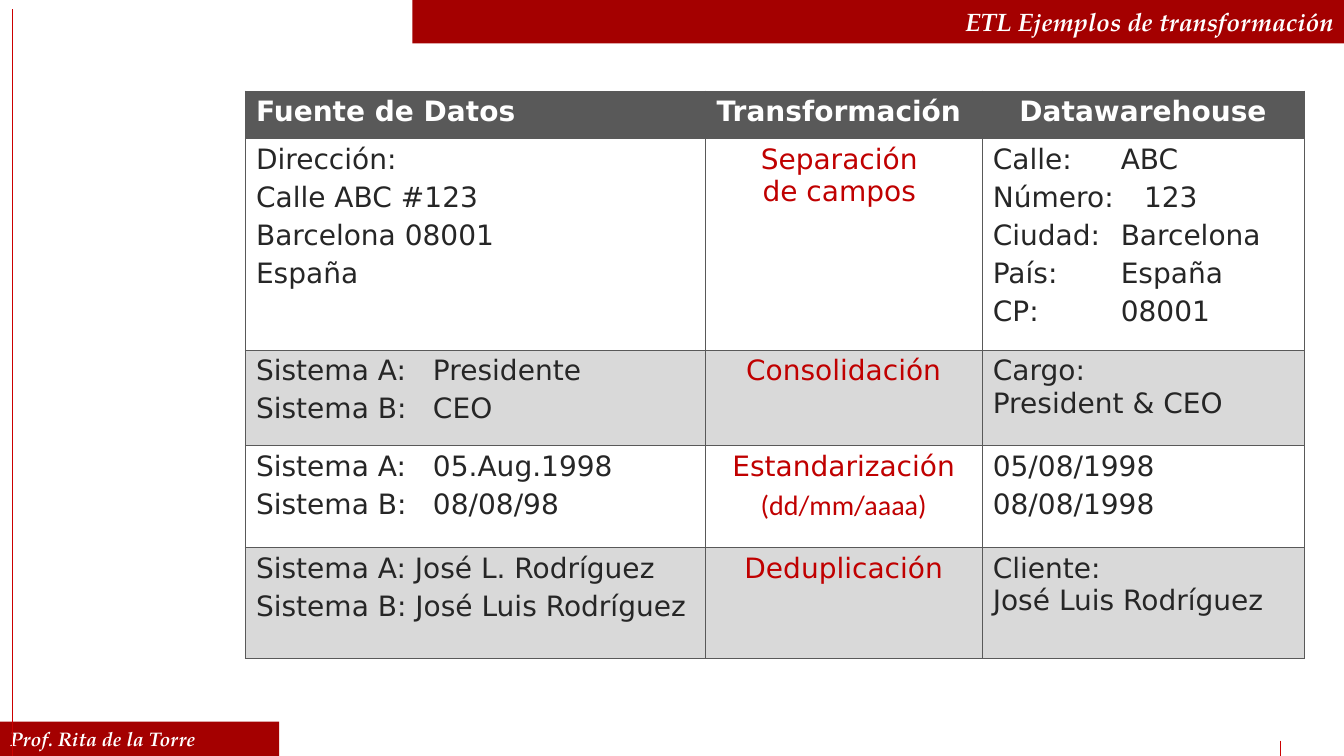
from dataclasses import dataclass

from lxml import etree
from pptx import Presentation
from pptx import util as u
from pptx.dml.color import RGBColor
from pptx.enum import shapes, text
from pptx.oxml import ns

Pt = u.Pt


@dataclass(frozen=True)
class Theme:
    banner: str = "A40000"
    rule: str = "CC0000"
    white: str = "FFFFFF"
    grey: str = "D9D9D9"
    header: str = "595959"
    ink: str = "262626"
    accent: str = "C00000"
    serif: str = "TeX Gyre Pagella"
    sans: str = "DejaVu Sans"
    format_font: str = "Calibri"
    title_size: int = 18
    footer_size: int = 14
    table_size: int = 20


THEME = Theme()
LEFT, CENTER, RIGHT = text.PP_ALIGN.LEFT, text.PP_ALIGN.CENTER, text.PP_ALIGN.RIGHT

HEADINGS = ["Fuente de Datos", "Transformación", "Datawarehouse"]
# Each example: source lines, transformation lines, warehouse lines
EXAMPLES = [
    (["Dirección:", "Calle ABC #123", "Barcelona 08001", "España"],
     ["Separación \nde campos "],
     ["Calle: \tABC", "Número: \t123", "Ciudad: \tBarcelona",
      "País: \tEspaña", "CP: \t08001"]),
    (["Sistema A:\tPresidente", "Sistema B:\tCEO"],
     ["Consolidación"],
     ["Cargo: \nPresident & CEO"]),
    (["Sistema A:\t05.Aug.1998", "Sistema B:\t08/08/98"],
     ["Estandarización", "(dd/mm/aaaa)"],
     ["05/08/1998", "08/08/1998"]),
    (["Sistema A: José L. Rodríguez", "Sistema B: José Luis Rodríguez"],
     ["Deduplicación"],
     ["Cliente: \nJosé Luis Rodríguez"]),
]
COLUMN_WIDTHS = [329, 197.3, 230.4]
ROW_HEIGHTS = [33.8, 151.2, 68.4, 72.7, 79.2]
SOURCE_TAB, WAREHOUSE_TAB = 126.4, 91.4


def rgb(color):
    return RGBColor.from_string(color)


def paint(shape, color):
    shape.fill.solid()
    shape.fill.fore_color.rgb = rgb(color)


def add_run(paragraph, words, font, size, color, bold=False, italic=False):
    run = paragraph.add_run()
    run.text = words
    run.font.name, run.font.size = font, Pt(size)
    run.font.bold, run.font.italic = bold, italic
    run.font.color.rgb = rgb(color)


def add_tab_stop(paragraph, position):
    stops = etree.SubElement(paragraph._p.get_or_add_pPr(), ns.qn("a:tabLst"))
    etree.SubElement(stops, ns.qn("a:tab"), pos=str(Pt(position)), algn="l")


def write_banner(banner, words, size, align):
    """Bold italic serif text on a dark red bar."""
    paint(banner, THEME.banner)
    frame = banner.text_frame
    frame.auto_size = text.MSO_AUTO_SIZE.NONE
    frame.vertical_anchor = text.MSO_ANCHOR.MIDDLE
    frame.paragraphs[0].alignment = align
    add_run(frame.paragraphs[0], words, THEME.serif, size, THEME.white, True, True)


def add_title(slide, words):
    title = slide.shapes.title
    title.left, title.top, title.width, title.height = Pt(294.5), 0, Pt(665.5), Pt(31)
    write_banner(title, words, THEME.title_size, RIGHT)


def add_footer(slide, words):
    footer = slide.shapes.add_shape(
        shapes.MSO_SHAPE.RECTANGLE, 0, Pt(515.5), Pt(199.4), Pt(24.5))
    footer.shadow.inherit = False
    footer.line.fill.background()
    write_banner(footer, words, THEME.footer_size, LEFT)


def add_rule(slide, x, top, bottom, weight):
    rule = slide.shapes.add_connector(
        shapes.MSO_CONNECTOR.STRAIGHT, Pt(x), Pt(top), Pt(x), Pt(bottom))
    rule.line.color.rgb = rgb(THEME.rule)
    rule.line.width = Pt(weight)
    etree.SubElement(rule._element.spPr, ns.qn("a:effectLst"))


def add_borders(cell):
    properties = cell._tc.get_or_add_tcPr()
    for index, side in enumerate(["lnL", "lnR", "lnT", "lnB"]):
        border = etree.Element(ns.qn(f"a:{side}"), w=str(Pt(0.25)))
        fill = etree.SubElement(border, ns.qn("a:solidFill"))
        etree.SubElement(fill, ns.qn("a:srgbClr"), val=THEME.header)
        properties.insert(index, border)


def fill_cell(cell, lines, background, color, align=LEFT, bold=False, tab=None):
    paint(cell, background)
    add_borders(cell)
    cell.margin_left = cell.margin_right = Pt(7.9)
    cell.margin_top = cell.margin_bottom = Pt(3.6)
    for index, line in enumerate(lines):
        paragraph = (cell.text_frame.add_paragraph() if index
                     else cell.text_frame.paragraphs[0])
        paragraph.alignment = align
        if index:
            paragraph.space_before = Pt(4)
        if tab and "\t" in line:
            add_tab_stop(paragraph, tab)
        font = THEME.format_font if line.startswith("(") else THEME.sans
        for part_index, part in enumerate(line.split("\n")):
            if part_index:
                paragraph.add_line_break()
            add_run(paragraph, part, font, THEME.table_size, color, bold)


def add_examples(slide):
    table = slide.shapes.add_table(
        len(ROW_HEIGHTS), len(COLUMN_WIDTHS), Pt(175), Pt(64.8),
        Pt(sum(COLUMN_WIDTHS)), Pt(sum(ROW_HEIGHTS))).table
    table.horz_banding = False
    for column, width in zip(table.columns, COLUMN_WIDTHS):
        column.width = Pt(width)
    for row, height in zip(table.rows, ROW_HEIGHTS):
        row.height = Pt(height)

    # Heading row
    for column, heading in enumerate(HEADINGS):
        fill_cell(table.cell(0, column), [heading], THEME.header, THEME.white,
                  CENTER if heading == HEADINGS[-1] else LEFT, bold=True)

    # Example rows, alternately white and grey
    for row, (source, transformation, warehouse) in enumerate(EXAMPLES, 1):
        background = THEME.white if row % 2 else THEME.grey
        fill_cell(table.cell(row, 0), source, background, THEME.ink, tab=SOURCE_TAB)
        fill_cell(table.cell(row, 1), transformation, background, THEME.accent, CENTER)
        fill_cell(table.cell(row, 2), warehouse, background, THEME.ink,
                  tab=WAREHOUSE_TAB)


def main():
    deck = Presentation()
    deck.slide_width, deck.slide_height = Pt(960), Pt(540)
    slide = deck.slides.add_slide(deck.slide_layouts[5])

    # Frame of the page
    add_footer(slide, "Prof. Rita de la Torre")
    add_rule(slide, 915, 529, 540, 0.75)
    add_rule(slide, 8.7, 6.5, 540, 0.5)

    # Content
    add_title(slide, "ETL Ejemplos de transformación")
    add_examples(slide)
    deck.save("out.pptx")


if __name__ == "__main__":
    main()
